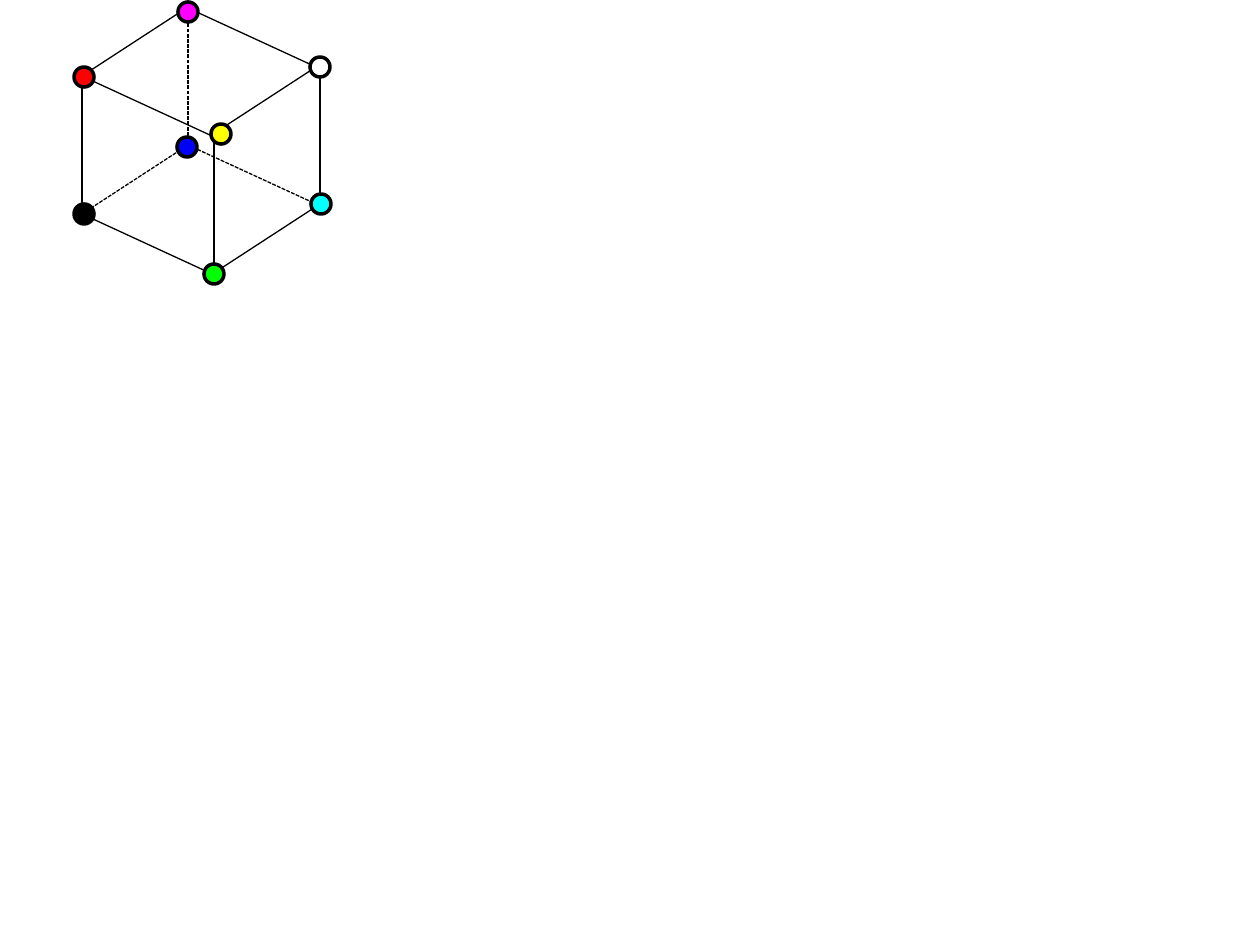
from lxml import etree
from pptx import Presentation
from pptx.dml.color import RGBColor
from pptx.enum.dml import MSO_LINE_DASH_STYLE as DASH
from pptx.enum.shapes import MSO_CONNECTOR as CONN, MSO_SHAPE as SHAPE
from pptx.oxml.ns import qn
from pptx.util import Pt

# Content, in pixels: each direction has a step and its edges (x, y, hidden)
EDGES = [
    ((128, 59), [(82, 214, False), (84, 77, False), (188, 8, False), (188, 145, True)]),
    ((0, -139), [(82, 214, False), (214, 273, False), (320, 204, False), (188, 146, True)]),
    ((106, -69), [(214, 273, False), (82, 214, True), (210, 136, False), (82, 76, False)]),
]
# Corner centres and colours
CORNERS = [
    (84, 214, "000000"), (84, 77, "FF0000"), (188, 12, "FF00FF"), (320, 67, "FFFFFF"),
    (221, 134, "FFFF00"), (321, 204, "00FFFF"), (214, 274, "00FF00"), (187, 147, "0000FF"),
]
DIAMETER = 20
EMU_PER_PX = 914400 / 126


def px(n):
    return round(n * EMU_PER_PX)


def color(fmt, value):
    fmt.solid()
    fmt.fore_color.rgb = RGBColor.from_string(value)


def outline(line, width):
    color(line.fill, "000000")
    line.width = Pt(width)


prs = Presentation()
prs.slide_width, prs.slide_height = px(1260), px(945)
s = prs.slides.add_slide(prs.slide_layouts[6])
color(s.background.fill, "FFFFFF")
cube = s.shapes.add_group_shape()

# Cube edges
for (dx, dy), starts in EDGES:
    for x, y, hidden in starts:
        edge = cube.shapes.add_connector(CONN.STRAIGHT, px(x), px(y), px(x + dx), px(y + dy))
        outline(edge.line, 0.75)
        if hidden:
            edge.line.dash_style = DASH.SQUARE_DOT
        etree.SubElement(edge._element.spPr, qn("a:effectLst"))

# Colour corners
for x, y, fill in CORNERS:
    dot = cube.shapes.add_shape(SHAPE.OVAL, px(x - DIAMETER / 2), px(y - DIAMETER / 2),
                                px(DIAMETER), px(DIAMETER))
    dot.shadow.inherit = False
    color(dot.fill, fill)
    outline(dot.line, 2)

prs.save("out.pptx")
